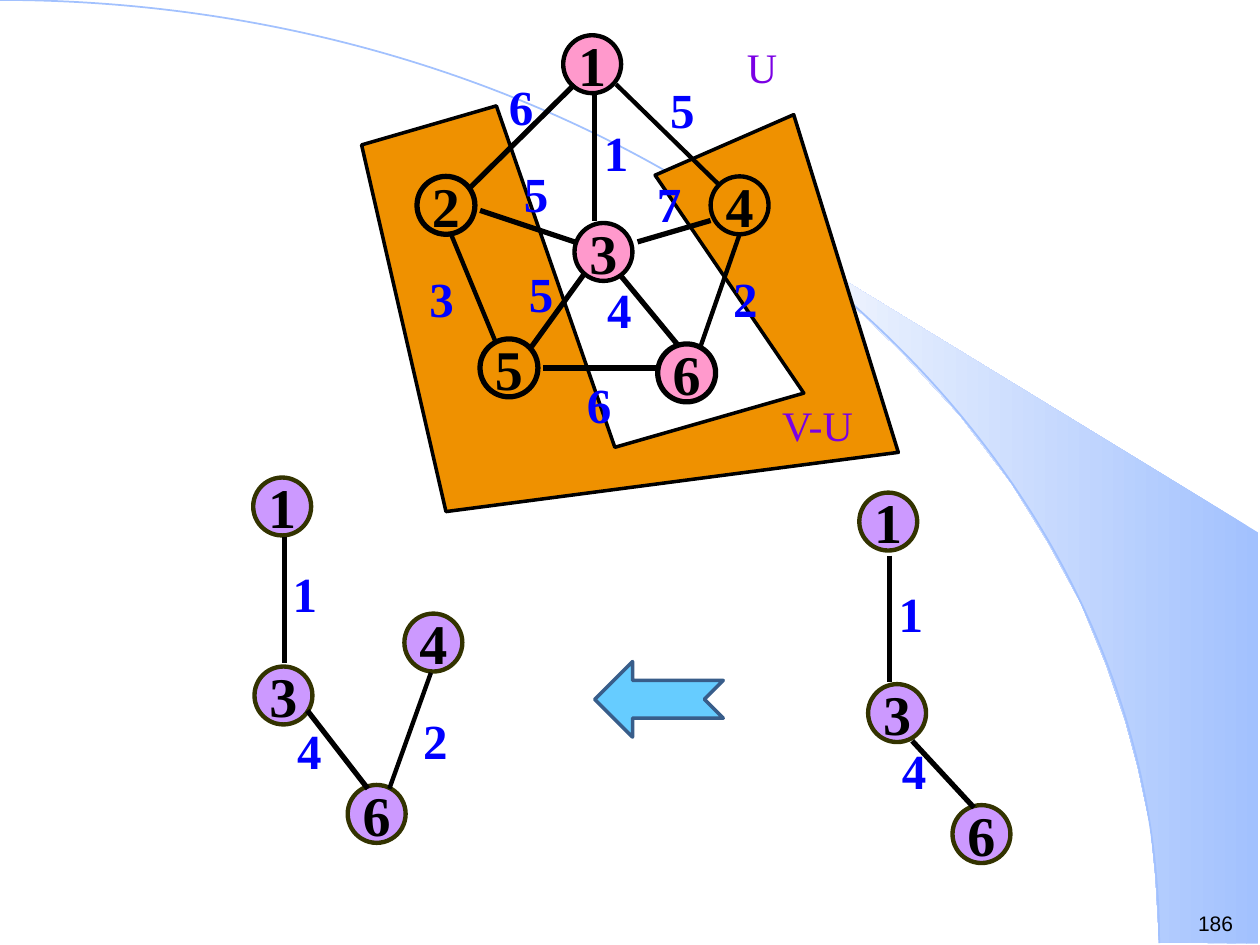
from lxml import etree
from pptx import Presentation
from pptx.dml.color import RGBColor
from pptx.enum.shapes import MSO_CONNECTOR, MSO_SHAPE
from pptx.enum.text import MSO_ANCHOR, PP_ALIGN
from pptx.oxml.ns import qn
from pptx.util import Inches, Pt

STRAIGHT = MSO_CONNECTOR.STRAIGHT
OVAL, ARC = MSO_SHAPE.OVAL, MSO_SHAPE.ARC
NOTCHED_ARROW = MSO_SHAPE.NOTCHED_RIGHT_ARROW
LEFT, CENTER = PP_ALIGN.LEFT, PP_ALIGN.CENTER
MIDDLE = MSO_ANCHOR.MIDDLE

BLACK = RGBColor(0x00, 0x00, 0x00)
BLUE = RGBColor(0x00, 0x00, 0xFF)
VIOLET = RGBColor(0x7B, 0x00, 0xE4)
LILAC = RGBColor(0xCC, 0x99, 0xFF)
OLIVE = RGBColor(0x33, 0x33, 0x00)
PINK = RGBColor(0xFF, 0x99, 0xCC)
ORANGE = RGBColor(0xEF, 0x91, 0x00)
SKY = RGBColor(0x66, 0xCC, 0xFF)
STEEL = RGBColor(0x38, 0x5D, 0x8A)
PALE_BLUE = RGBColor(0xA2, 0xC1, 0xFE)
OFF_WHITE = RGBColor(0xFE, 0xFE, 0xFE)

NODE_SIZE = 0.46
SERIF = "Times New Roman"

prs = Presentation()
prs.slide_width, prs.slide_height = Inches(10), Inches(7.5)
slide = prs.slides.add_slide(prs.slide_layouts[6])
shapes = slide.shapes


def add_polygon(points):
    corners = [(Inches(x), Inches(y)) for x, y in points]
    builder = shapes.build_freeform(*corners[0])
    builder.add_line_segments(corners[1:], close=True)
    polygon = builder.convert_to_shape()
    polygon.shadow.inherit = False
    return polygon


def add_label(text, left, top, width, height, size, color,
              bold=False, align=LEFT, font_name=SERIF):
    box = shapes.add_textbox(Inches(left), Inches(top), Inches(width), Inches(height))
    box.text_frame.word_wrap = True
    paragraph = box.text_frame.paragraphs[0]
    paragraph.text = text
    paragraph.alignment = align
    font = paragraph.font
    font.name, font.size, font.bold = font_name, Pt(size), bold
    font.color.rgb = color


# Background: shaded wedge and the arc along its edge
wedge = add_polygon([
    (9.2, 7.48), (9.99, 7.49), (9.99, 4.23), (5.89, 1.73), (6.24, 1.99),
    (6.53, 2.22), (6.85, 2.5), (7.16, 2.8), (7.62, 3.3), (8.03, 3.84),
    (8.32, 4.31), (8.58, 4.79), (8.78, 5.28), (8.93, 5.72), (9.03, 6.09),
    (9.13, 6.56), (9.17, 6.96)])
wedge.fill.gradient()
wedge.fill.gradient_angle = 180
for stop, color, position in zip(wedge.fill.gradient_stops, (PALE_BLUE, OFF_WHITE), (0, 1)):
    stop.color.rgb = color
    stop.position = position
wedge.line.fill.background()

arc = shapes.add_shape(ARC, Inches(-9.2), Inches(0), Inches(18.4), Inches(14.97))
arc.shadow.inherit = False
arc.fill.background()
arc.line.color.rgb = PALE_BLUE
arc.line.width = Pt(1)

add_label("186", 9.41, 7.18, 0.59, 0.3, 12, BLACK, font_name="Arial")

# Region of the vertices not yet in the tree
outside_region = add_polygon([
    (3.94, 0.84), (4.88, 3.55), (6.38, 3.12), (5.2, 1.39), (6.3, 0.91),
    (7.13, 3.59), (3.54, 4.06), (2.87, 1.15)])
outside_region.fill.solid()
outside_region.fill.fore_color.rgb = ORANGE
outside_region.line.color.rgb = BLACK
outside_region.line.width = Pt(2)

# Nodes: number, left, top, fill, outline colour, outline width
nodes = [
    # new tree
    (1, 2.01, 3.79, LILAC, OLIVE, 2.5),
    (3, 2.02, 5.29, LILAC, OLIVE, 2.5),
    (4, 3.21, 4.87, LILAC, OLIVE, 2.5),
    (6, 2.76, 6.23, LILAC, OLIVE, 2.5),
    # previous tree
    (1, 6.82, 3.91, LILAC, OLIVE, 2.5),
    (3, 6.89, 5.43, LILAC, OLIVE, 2.5),
    (6, 7.56, 6.39, LILAC, OLIVE, 2.5),
    # full graph
    (1, 4.47, 0.28, PINK, BLACK, 2.5),
    (2, 3.31, 1.4, None, BLACK, 3),
    (3, 4.56, 1.77, PINK, BLACK, 2.5),
    (4, 5.64, 1.4, None, BLACK, 2.5),
    (5, 3.81, 2.69, None, BLACK, 3),
    (6, 5.22, 2.73, PINK, BLACK, 3),
]
for number, left, top, fill, outline, width in nodes:
    node = shapes.add_shape(OVAL, Inches(left), Inches(top),
                            Inches(NODE_SIZE), Inches(NODE_SIZE))
    node.shadow.inherit = False
    if fill is None:
        node.fill.background()
    else:
        node.fill.solid()
        node.fill.fore_color.rgb = fill
    node.line.color.rgb = outline
    node.line.width = Pt(width)
    frame = node.text_frame
    frame.margin_left = frame.margin_right = frame.margin_top = frame.margin_bottom = 0
    frame.word_wrap = False
    frame.vertical_anchor = MIDDLE
    paragraph = frame.paragraphs[0]
    paragraph.text = str(number)
    paragraph.alignment = CENTER
    font = paragraph.font
    font.name, font.size, font.bold = SERIF, Pt(32), True
    font.color.rgb = BLACK

# Edges: start, end, line width
edges = [
    ((2.26, 4.26), (2.26, 5.26), 3),
    ((2.44, 5.64), (2.92, 6.26), 3),
    ((3.42, 5.34), (3.09, 6.26), 2.5),
    ((7.06, 4.41), (7.06, 5.41), 3),
    ((7.24, 5.88), (7.73, 6.41), 3),
    ((4.56, 0.67), (3.72, 1.5), 3),
    ((4.89, 0.67), (5.71, 1.47), 2.5),
    ((4.72, 0.75), (4.72, 1.75), 3),
    ((3.81, 1.67), (4.56, 1.92), 3),
    ((5.06, 1.92), (5.64, 1.75), 3),
    ((3.58, 1.86), (3.94, 2.73), 2.5),
    ((4.64, 2.17), (4.22, 2.75), 3),
    ((4.92, 2.18), (5.39, 2.75), 3),
    ((5.87, 1.86), (5.56, 2.75), 2.5),
    ((4.31, 2.92), (5.22, 2.92), 3),
]
for start, end, width in edges:
    edge = shapes.add_connector(STRAIGHT, *map(Inches, start + end))
    edge.line.color.rgb = BLACK
    edge.line.width = Pt(width)
    etree.SubElement(edge._element.spPr, qn("a:effectLst"))

# Edge weights: value, left, top, alignment
weights = [
    (1, 2.17, 4.42, CENTER), (4, 2.26, 5.67, LEFT), (2, 3.26, 5.59, LEFT),
    (1, 6.98, 4.58, CENTER), (4, 7.06, 5.83, LEFT),
    (6, 3.94, 0.56, LEFT), (5, 5.22, 0.58, LEFT), (1, 4.64, 0.92, CENTER),
    (5, 4.06, 1.25, LEFT), (7, 5.06, 1.33, CENTER), (3, 3.31, 2.08, LEFT),
    (5, 4.1, 2.04, LEFT), (4, 4.72, 2.17, LEFT), (2, 5.72, 2.08, LEFT),
    (6, 4.56, 2.92, LEFT),
]
for weight, left, top, align in weights:
    add_label(str(weight), left, top, 0.5, 0.57, 28, BLUE, bold=True, align=align)

add_label("U", 5.83, 0.28, 0.67, 0.5, 24, VIOLET)
add_label("V-U", 6.11, 3.12, 1, 0.5, 24, VIOLET)

step_arrow = shapes.add_shape(NOTCHED_ARROW, Inches(4.72), Inches(5.25),
                              Inches(1.02), Inches(0.6))
step_arrow.rotation = 180
step_arrow.shadow.inherit = False
step_arrow.fill.solid()
step_arrow.fill.fore_color.rgb = SKY
step_arrow.line.color.rgb = STEEL
step_arrow.line.width = Pt(2)

prs.save("out.pptx")
